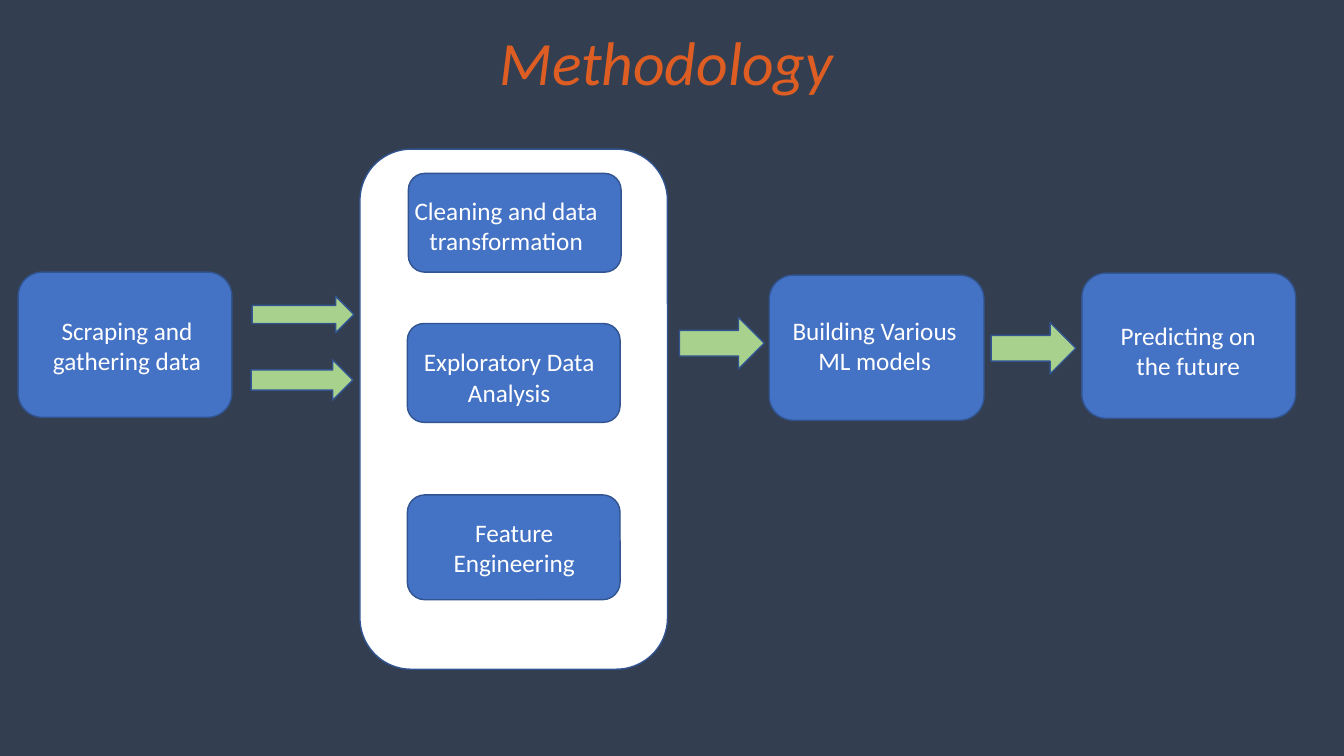
from pptx import Presentation
from pptx import util as u
from pptx.dml.color import RGBColor
from pptx.enum import shapes, text

SLIDE_WIDTH, SLIDE_HEIGHT = 13.33, 7.5
NAVY, WHITE, ORANGE = "333F50", "FFFFFF", "DD5D23"
BLUE, OUTLINE, GREEN = "4472C4", "325491", "A9D18E"
LABEL_HEIGHT = 0.71

TITLE = "Methodology"
TITLE_BOX = (0.8, 0.15, 11.62, 1.01)
PANEL = (3.57, 1.48, 3.05, 5.16)

# Wording, box (left, top, width, height), label (left, top, width)
STEPS = [
    ("Scraping and gathering data", (0.18, 2.7, 2.12, 1.44), (0.16, 3.08, 2.2)),
    ("Cleaning and data transformation", (4.05, 1.72, 2.11, 0.98), (3.92, 1.89, 2.2)),
    ("Exploratory Data Analysis", (4.04, 3.21, 2.11, 0.98), (3.95, 3.39, 2.2)),
    ("Feature Engineering", (4.04, 4.91, 2.11, 1.04), (4, 5.08, 2.2)),
    ("Building Various ML models", (7.63, 2.73, 2.13, 1.44), (7.72, 3.08, 1.91)),
    ("Predicting on the future", (10.73, 2.71, 2.12, 1.44), (10.83, 3.13, 1.91)),
]
ARROWS = [
    (2.5, 2.94, 1.01, 0.36),
    (2.49, 3.57, 1.01, 0.4),
    (6.74, 3.15, 0.84, 0.51),
    (9.83, 3.2, 0.84, 0.51),
]


def color(value):
    return RGBColor.from_string(value)


def inches(box):
    return [u.Inches(length) for length in box]


def add_block(slide, kind, box, fill):
    shape = slide.shapes.add_shape(kind, *inches(box))
    shape.shadow.inherit = False
    shape.fill.solid()
    shape.fill.fore_color.rgb = color(fill)
    shape.line.color.rgb = color(OUTLINE)
    shape.line.width = u.Pt(1)


def add_text(slide, wording, box, size=18, fill=WHITE, italic=False,
             anchor=text.MSO_ANCHOR.TOP, spacing=1.0):
    frame = slide.shapes.add_textbox(*inches(box)).text_frame
    frame.word_wrap = True
    frame.vertical_anchor = anchor
    paragraph = frame.paragraphs[0]
    paragraph.alignment = text.PP_ALIGN.CENTER
    paragraph.line_spacing = spacing
    run = paragraph.add_run()
    run.text = wording
    run.font.name = "Calibri"
    run.font.size = u.Pt(size)
    run.font.italic = italic
    run.font.color.rgb = color(fill)


def main():
    presentation = Presentation()
    presentation.slide_width = u.Inches(SLIDE_WIDTH)
    presentation.slide_height = u.Inches(SLIDE_HEIGHT)
    slide = presentation.slides.add_slide(presentation.slide_layouts[6])
    slide.background.fill.solid()
    slide.background.fill.fore_color.rgb = color(NAVY)

    rounded = shapes.MSO_SHAPE.ROUNDED_RECTANGLE
    add_block(slide, rounded, PANEL, WHITE)
    add_text(slide, TITLE, TITLE_BOX, size=44, fill=ORANGE, italic=True,
             anchor=text.MSO_ANCHOR.MIDDLE, spacing=0.9)
    for arrow in ARROWS:
        add_block(slide, shapes.MSO_SHAPE.RIGHT_ARROW, arrow, GREEN)
    for wording, box, label in STEPS:
        add_block(slide, rounded, box, BLUE)
        add_text(slide, wording, (*label, LABEL_HEIGHT))

    presentation.save("out.pptx")


if __name__ == "__main__":
    main()
